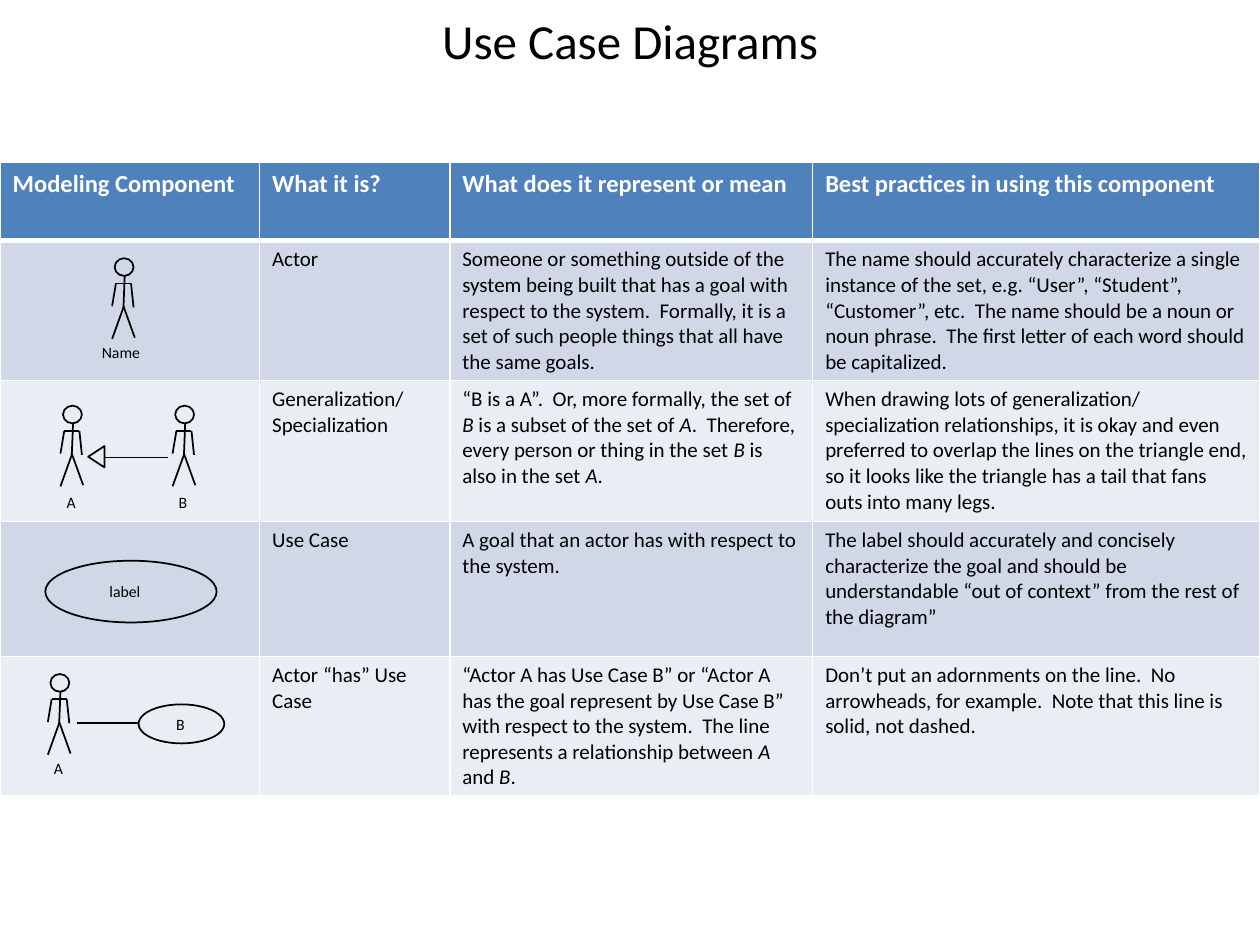
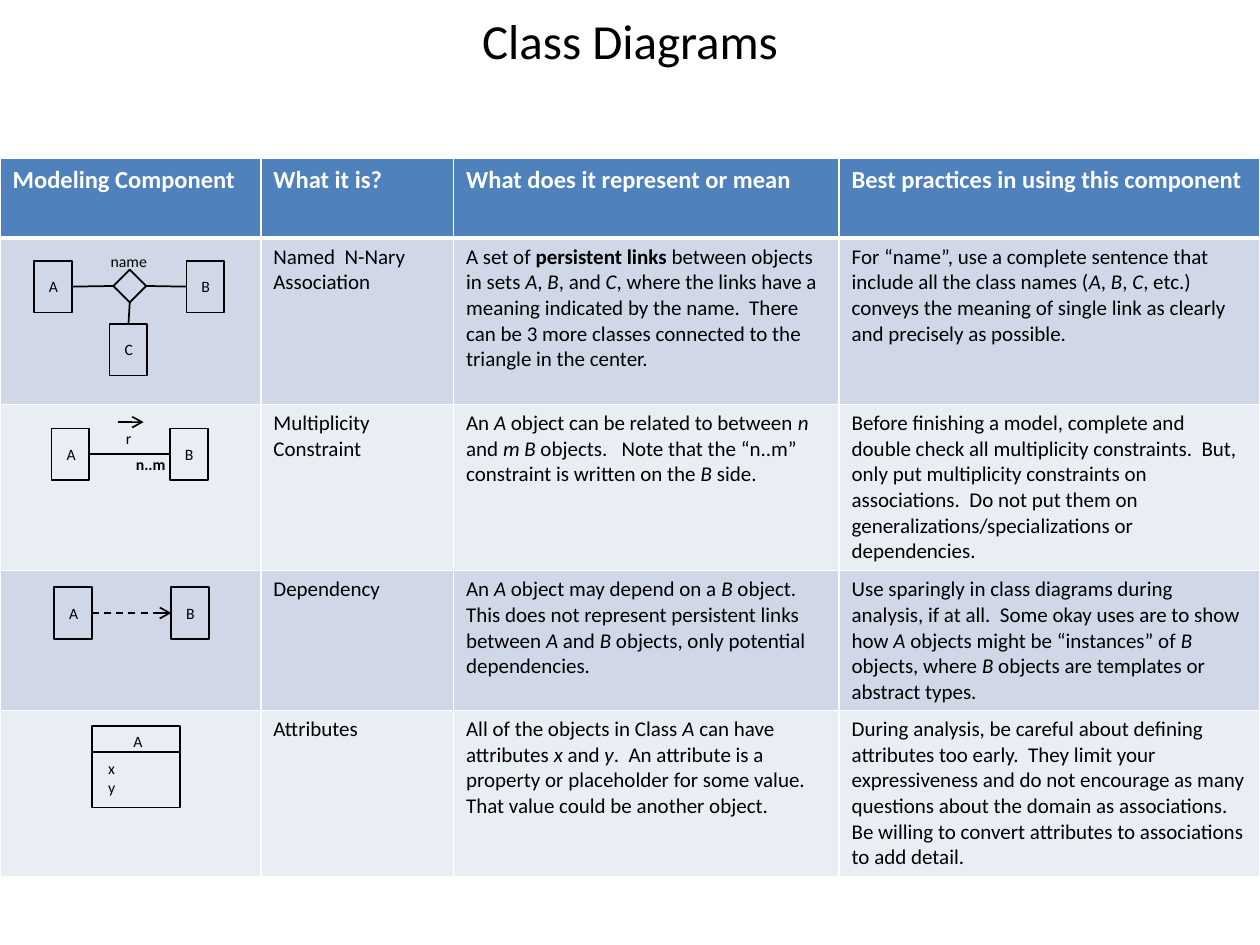
from dataclasses import dataclass

from lxml import etree
from pptx import Presentation
from pptx.dml.color import RGBColor
from pptx.enum.dml import MSO_LINE
from pptx.enum.shapes import MSO_CONNECTOR, MSO_SHAPE
from pptx.enum.text import MSO_ANCHOR, MSO_AUTO_SIZE, PP_ALIGN
from pptx.oxml.ns import qn
from pptx.util import Inches, Pt

STRAIGHT = MSO_CONNECTOR.STRAIGHT
RECTANGLE = MSO_SHAPE.RECTANGLE
ELLIPSE = MSO_SHAPE.OVAL
DIAMOND = MSO_SHAPE.DIAMOND
TRIANGLE = MSO_SHAPE.ISOSCELES_TRIANGLE
DASH = MSO_LINE.DASH
TOP, LEFT, BOTTOM, RIGHT = range(4)


@dataclass(frozen=True)
class Theme:
    font: str = "Calibri"
    ink: str = "000000"
    paper: str = "FFFFFF"
    header: str = "4F81BD"
    bands: tuple = ("D0D8E8", "E9EDF4")
    title_size: int = 28
    header_size: int = 14
    body_size: int = 12
    label_size: int = 9
    line_width: int = 1
    header_rule: int = 3


THEME = Theme()

HEADINGS = ("Modeling Component", "What it is?", "What does it represent or mean",
            "Best practices in using this component")

# In table text, *stars* mark italics and |bars| mark bold.
USE_CASES = {
    "title": "Use Case Diagrams",
    "top": 1.29,
    "columns": (2.06, 1.51, 2.88, 3.55),
    "heights": (0.62, 1.11, 1.12, 1.07, 1.11),
    "rows": [
        ("Actor",
         "Someone or something outside of the system being built that has a goal with respect "
         "to the system.  Formally, it is a set of such people things that all have the same goals.",
         "The name should accurately characterize a single instance of the set, e.g. “User”, "
         "“Student”, “Customer”, etc.  The name should be a noun or noun phrase.  The first "
         "letter of each word should be capitalized."),
        ("Generalization/ Specialization",
         "“B is a A”.  Or, more formally, the set of *B* is a subset of the set of *A*.  "
         "Therefore, every person or thing in the set *B* is also in the set *A*.",
         "When drawing lots of generalization/ specialization relationships, it is okay and even "
         "preferred to overlap the lines on the triangle end, so it looks like the triangle has "
         "a tail that fans outs into many legs."),
        ("Use Case",
         "A goal that an actor has with respect to the system.",
         "The label should accurately and concisely characterize the goal and should be "
         "understandable “out of context” from the rest of the diagram”"),
        ("Actor “has” Use Case",
         "“Actor A has Use Case B” or “Actor A has the goal represent by Use Case B” with "
         "respect to the system.  The line represents a relationship between *A *and *B*.",
         "Don’t put an adornments on the line.  No arrowheads, for example.  Note that this "
         "line is solid, not dashed."),
    ],
}

CLASSES = {
    "title": "Class Diagrams",
    "top": 1.26,
    "columns": (2.07, 1.53, 3.06, 3.34),
    "heights": (0.63, 1.32, 1.32, 1.11, 1.32),
    "rows": [
        ("Named  N-Nary Association",
         "A set of |persistent links |between objects in sets *A*, *B*, and *C*, where the links "
         "have a meaning indicated by the name.  There can be 3 more classes connected to the "
         "triangle in the center.",
         "For “name”, use a complete sentence that include all the class names (*A*, *B*, *C*, "
         "etc.) conveys the meaning of single link as clearly and precisely as possible."),
        ("Multiplicity Constraint",
         "An *A* object can be related to between *n* and *m B* objects.   Note that the “n..m” "
         "constraint is written on the *B* side.",
         "Before finishing a model, complete and double check all multiplicity constraints.  "
         "But, only put multiplicity constraints on associations.  Do not put them on "
         "generalizations/specializations or dependencies."),
        ("Dependency",
         "An *A* object may depend on a *B* object.  This does not represent persistent links "
         "between *A* and *B* objects, only potential dependencies.",
         "Use sparingly in class diagrams during analysis, if at all.  Some okay uses are to "
         "show how *A* objects might be “instances” of *B* objects, where *B* objects are "
         "templates or abstract types."),
        ("Attributes",
         "All of the objects in Class *A* can have attributes *x* and *y*.  An attribute is a "
         "property or placeholder for some value.  That value could be another object.",
         "During analysis, be careful about defining attributes too early.  They limit your "
         "expressiveness and do not encourage as many questions about the domain as "
         "associations.  Be willing to convert attributes to associations to add detail."),
    ],
}

HEAD_SIZE = (0.15, 0.14)
ACTOR_LIMBS = [
    (0.08, 0.14, 0.07, 0.39),
    (0.01, 0.20, 0.13, 0.20),
    (0.07, 0.39, -0.02, 0.64),
    (0.07, 0.38, 0.16, 0.63),
    (0.13, 0.20, 0.15, 0.39),
    (0.01, 0.20, -0.02, 0.38),
]
ACTORS = [
    ("Name", 0.91, 2.05, (0.71, 2.67, 0.51)),
    ("A", 0.50, 3.22, (0.43, 3.86, 0.27)),
    ("B", 1.39, 3.22, (1.32, 3.86, 0.27)),
    ("A", 0.40, 5.35, (0.33, 5.97, 0.27)),
]
GOALS = [
    ("label", (0.36, 4.45, 1.36, 0.49), (0.77, 4.57, 0.45)),
    ("B", (1.10, 5.59, 0.68, 0.31), (1.30, 5.62, 0.27)),
]
CLASS_SIZE = (0.30, 0.41)


def style_span(span, size, color=THEME.ink, bold=False, italic=False):
    span.font.name = THEME.font
    span.font.size = Pt(size)
    span.font.color.rgb = RGBColor.from_string(color)
    span.font.bold = bold
    span.font.italic = italic


def add_label(canvas, text, left, top, width, height=0.25, bold=False):
    box = canvas.add_textbox(*map(Inches, (left, top, width, height)))
    frame = box.text_frame
    frame.text = text
    frame.word_wrap = False
    frame.auto_size = MSO_AUTO_SIZE.SHAPE_TO_FIT_TEXT
    for para in frame.paragraphs:
        style_span(para.runs[0], THEME.label_size, bold=bold)


def add_outline(canvas, kind, left, top, width, height):
    shape = canvas.add_shape(kind, *map(Inches, (left, top, width, height)))
    shape.shadow.inherit = False
    shape.fill.background()
    shape.line.color.rgb = RGBColor.from_string(THEME.ink)
    shape.line.width = Pt(THEME.line_width)
    return shape


def add_line(canvas, *ends, arrow=False, dash=None):
    line = canvas.add_connector(STRAIGHT, *map(Inches, ends))
    line.line.color.rgb = RGBColor.from_string(THEME.ink)
    line.line.width = Pt(THEME.line_width)
    if dash:
        line.line.dash_style = dash
    if arrow:
        etree.SubElement(line.line._get_or_add_ln(), qn("a:tailEnd"), type="arrow")
    etree.SubElement(line._element.spPr, qn("a:effectLst"))
    return line


def join(canvas, start, start_side, end, end_side, **style):
    line = add_line(canvas, 0, 0, 1, 1, **style)
    line.begin_connect(start, start_side)
    line.end_connect(end, end_side)


def add_actor(page, name, left, top, label_place):
    figure = page.shapes.add_group_shape().shapes
    add_outline(figure, ELLIPSE, left, top, *HEAD_SIZE)
    for x1, y1, x2, y2 in ACTOR_LIMBS:
        add_line(figure, left + x1, top + y1, left + x2, top + y2)
    add_label(page.shapes, name, *label_place)


def add_class(page, name, left, top):
    group = page.shapes.add_group_shape().shapes
    add_label(group, name, left + 0.02, top + 0.08, 0.27)
    return add_outline(group, RECTANGLE, left, top, *CLASS_SIZE)


def set_border(cell, side, width):
    border = etree.SubElement(cell._tc.get_or_add_tcPr(), qn("a:ln" + side), w=str(Pt(width)))
    fill = etree.SubElement(border, qn("a:solidFill"))
    etree.SubElement(fill, qn("a:srgbClr"), val=THEME.paper)


def fill_cell(cell, text, row_index):
    is_header = row_index == 0
    for side in "LRTB":
        on_rule = (row_index, side) in ((0, "B"), (1, "T"))
        set_border(cell, side, THEME.header_rule if on_rule else THEME.line_width)
    cell.fill.solid()
    color = THEME.header if is_header else THEME.bands[(row_index - 1) % 2]
    cell.fill.fore_color.rgb = RGBColor.from_string(color)
    para = cell.text_frame.paragraphs[0]
    size = THEME.header_size if is_header else THEME.body_size
    ink = THEME.paper if is_header else THEME.ink
    for bold_index, bold_part in enumerate(text.split("|")):
        for italic_index, part in enumerate(bold_part.split("*")):
            if part:
                span = para.add_run()
                span.text = part
                style_span(span, size, ink, is_header or bold_index % 2 == 1, italic_index % 2 == 1)


def add_title(page, text):
    box = page.shapes.add_textbox(*map(Inches, (0.5, 0.02, 9, 0.6)))
    frame = box.text_frame
    frame.text = text
    frame.word_wrap = True
    frame.vertical_anchor = MSO_ANCHOR.MIDDLE
    frame.paragraphs[0].alignment = PP_ALIGN.CENTER
    style_span(frame.paragraphs[0].runs[0], THEME.title_size)


def add_guide(page, guide):
    rows = [HEADINGS] + [("", *row) for row in guide["rows"]]
    place = (0, guide["top"], sum(guide["columns"]), sum(guide["heights"]))
    table = page.shapes.add_table(len(rows), len(HEADINGS), *map(Inches, place)).table
    table.horz_banding = False
    for column, width in zip(table.columns, guide["columns"]):
        column.width = Inches(width)
    for row_index, (row, height) in enumerate(zip(rows, guide["heights"])):
        table.rows[row_index].height = Inches(height)
        for column_index, text in enumerate(row):
            fill_cell(table.cell(row_index, column_index), text, row_index)


def draw_use_cases(page):
    for actor in ACTORS:
        add_actor(page, *actor)
    for name, place, label_place in GOALS:
        group = page.shapes.add_group_shape().shapes
        add_outline(group, ELLIPSE, *place)
        add_label(group, name, *label_place)
    add_line(page.shapes, 0.61, 5.74, 1.10, 5.74)
    add_line(page.shapes, 0.83, 3.63, 1.33, 3.63)
    add_outline(page.shapes, TRIANGLE, 0.68, 3.56, 0.17, 0.13).rotation = 270


def draw_classes(page):
    canvas = page.shapes
    class_a, class_b, class_c = (
        add_class(page, *item) for item in (("A", 0.27, 2.07), ("B", 1.48, 2.07), ("C", 0.87, 2.57)))
    association = add_outline(canvas, DIAMOND, 0.90, 2.14, 0.26, 0.26)
    join(canvas, class_a, RIGHT, association, LEFT)
    join(canvas, association, RIGHT, class_b, LEFT)
    join(canvas, class_c, TOP, association, BOTTOM)
    add_label(canvas, "name", 0.78, 1.95, 0.49)

    join(canvas, add_class(page, "A", 0.41, 3.40), RIGHT, add_class(page, "B", 1.35, 3.40), LEFT)
    add_label(canvas, "r", 0.90, 3.35, 0.25)
    add_line(canvas, 0.94, 3.35, 1.14, 3.35, arrow=True)
    add_label(canvas, "n..m", 0.98, 3.56, 0.44, bold=True)

    join(canvas, add_class(page, "A", 0.43, 4.66), RIGHT, add_class(page, "B", 1.36, 4.66), LEFT,
         arrow=True, dash=DASH)

    attributes = canvas.add_group_shape().shapes
    add_label(attributes, "A", 0.96, 5.76, 0.28)
    add_outline(attributes, RECTANGLE, 0.73, 5.76, 0.70, 0.65)
    add_line(attributes, 0.73, 5.97, 1.43, 5.97)
    add_label(attributes, "x\ny", 0.76, 5.97, 0.27, 0.40)


def main():
    deck = Presentation()
    deck.slide_width, deck.slide_height = Inches(10), Inches(7.5)
    for guide, draw in ((USE_CASES, draw_use_cases), (CLASSES, draw_classes)):
        page = deck.slides.add_slide(deck.slide_layouts[6])
        add_title(page, guide["title"])
        add_guide(page, guide)
        draw(page)
    deck.save("out.pptx")


if __name__ == "__main__":
    main()
